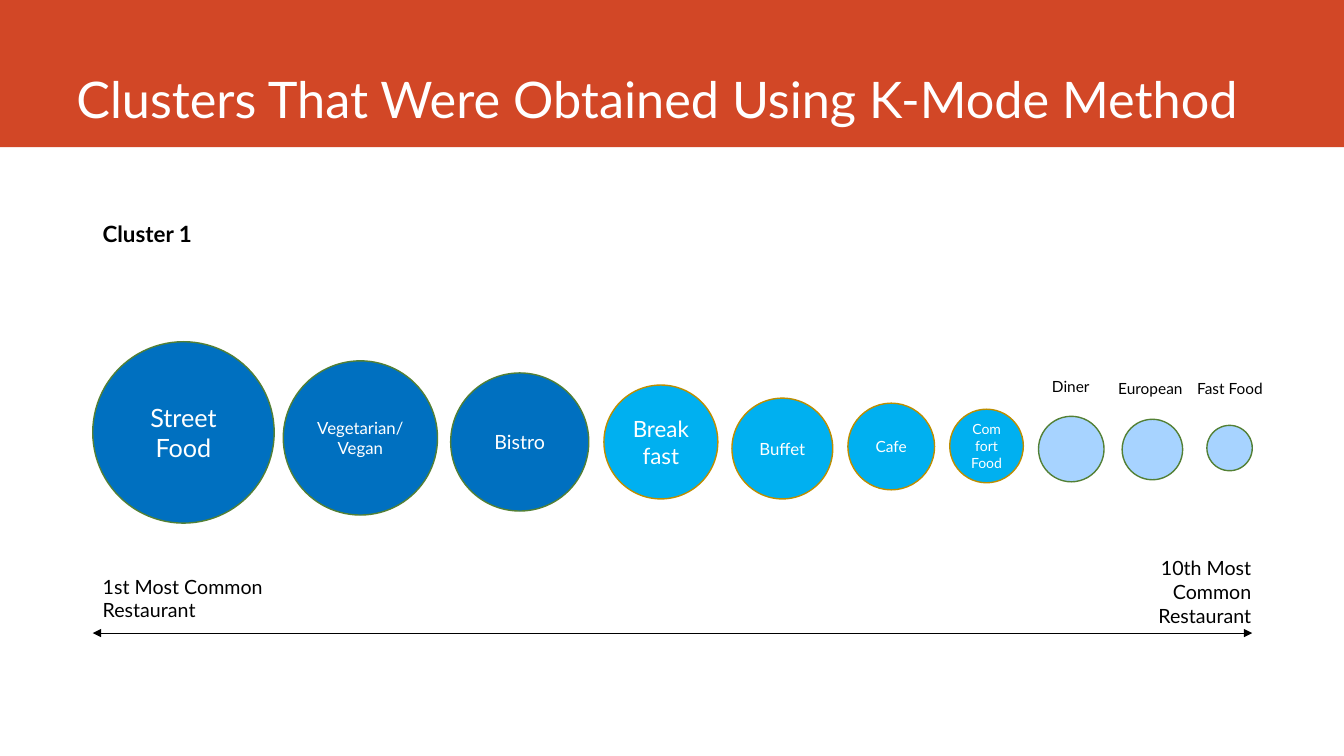
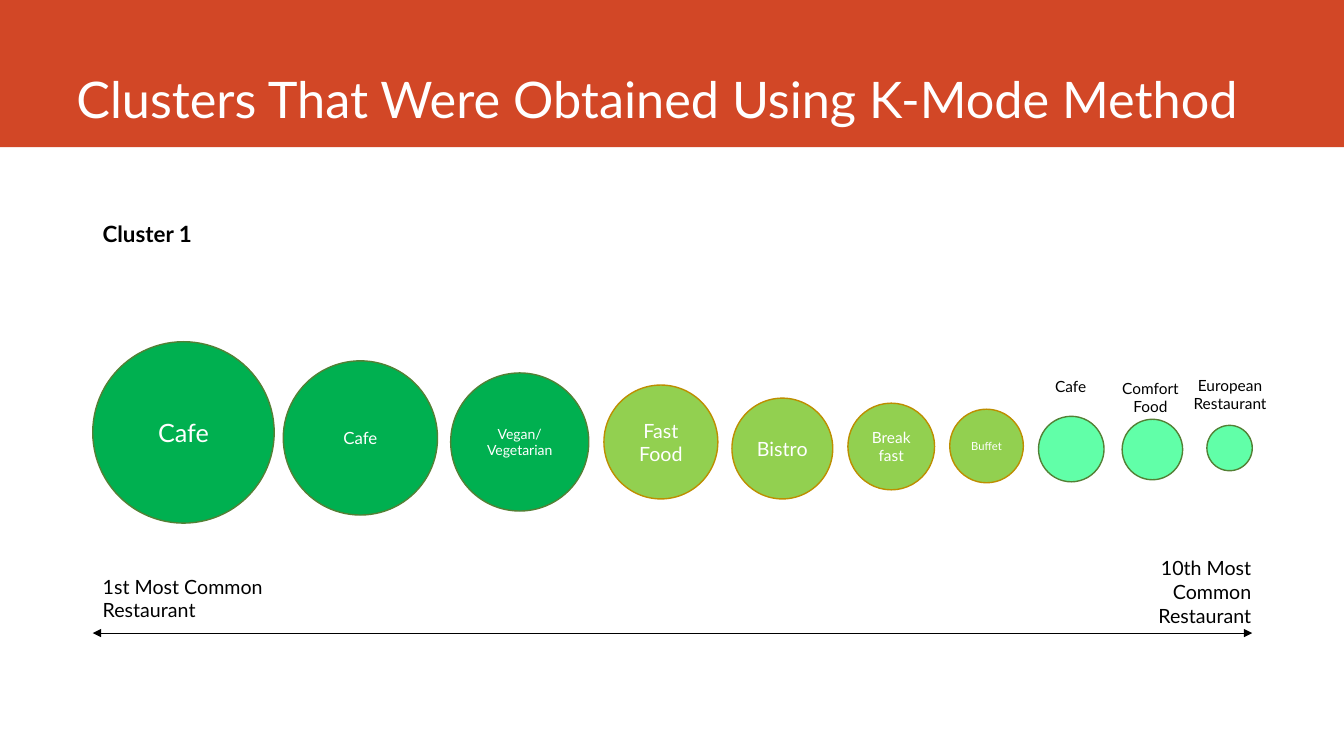
from lxml import etree
from pptx import Presentation
from pptx.dml.color import RGBColor
from pptx.enum.shapes import MSO_CONNECTOR, MSO_SHAPE
from pptx.enum.text import MSO_ANCHOR, PP_ALIGN
from pptx.oxml.ns import qn
from pptx.util import Inches, Pt

LEFT, CENTER, RIGHT = PP_ALIGN.LEFT, PP_ALIGN.CENTER, PP_ALIGN.RIGHT
TOP, MIDDLE, BOTTOM = MSO_ANCHOR.TOP, MSO_ANCHOR.MIDDLE, MSO_ANCHOR.BOTTOM
RECTANGLE, OVAL = MSO_SHAPE.RECTANGLE, MSO_SHAPE.OVAL
STRAIGHT = MSO_CONNECTOR.STRAIGHT

FONT = "Lato"
BAND = RGBColor(0xD2, 0x47, 0x26)
WHITE = RGBColor(0xFF, 0xFF, 0xFF)
BLACK = RGBColor(0x00, 0x00, 0x00)
GREEN_EDGE = RGBColor(0x53, 0x80, 0x35)
GOLD_EDGE = RGBColor(0xBD, 0x8E, 0x00)
BLUES = (RGBColor(0x00, 0x70, 0xC0), RGBColor(0x00, 0xB0, 0xF0), RGBColor(0xA7, 0xD3, 0xFF))
GREENS = (RGBColor(0x00, 0xB0, 0x50), RGBColor(0x92, 0xD0, 0x50), RGBColor(0x61, 0xFF, 0xA8))
EDGES = (GREEN_EDGE, GOLD_EDGE, GREEN_EDGE)

TITLE = "Clusters That Were Obtained Using K-Mode Method"
FIRST_RANK = "1st Most Common Restaurant"
LAST_RANK = "10th Most Common Restaurant"

CLUSTERS = [
    {
        "heading": "Cluster 1",
        "fills": BLUES,
        "inside": [("Street Food", 18), ("Vegetarian/Vegan", 12), ("Bistro", 14),
                   ("Breakfast", 16), ("Buffet", 12), ("Cafe", 11), ("Comfort Food", 10)],
        "above": [("Diner", 3.69, 0.29), ("European", 3.71, 0.29), ("Fast Food", 3.71, 0.29)],
    },
    {
        "heading": "Cluster 1",
        "fills": GREENS,
        "inside": [("Cafe", 18), ("Cafe", 12), ("Vegan/Vegetarian", 10),
                   ("Fast Food", 14), ("Bistro", 14), ("Breakfast", 11), ("Buffet", 8)],
        "above": [("Cafe", 3.69, 0.29), ("Comfort Food", 3.71, 0.47),
                  ("European Restaurant", 3.68, 0.47)],
    },
]

# left, top, diameter, shade
CIRCLES = [
    (0.92, 3.39, 1.8, 0), (2.81, 3.58, 1.53, 0), (4.47, 3.7, 1.37, 0),
    (5.99, 3.82, 1.13, 1), (7.26, 3.95, 1, 1), (8.41, 4, 0.86, 1), (9.42, 4.06, 0.73, 1),
    (10.3, 4.13, 0.65, 2), (11.13, 4.16, 0.6, 2), (11.97, 4.22, 0.45, 2),
]
LABEL_LEFT, LABEL_STEP, LABEL_WIDTH = 10.13, 0.79, 0.98
AXIS_LEFT, AXIS_RIGHT, AXIS_Y = 0.92, 12.42, 6.28


def write(shape, text, size, color=BLACK, bold=False, align=LEFT, anchor=TOP, spacing=None):
    frame = shape.text_frame
    frame.word_wrap = True
    frame.vertical_anchor = anchor
    paragraph = frame.paragraphs[0]
    paragraph.alignment = align
    if spacing:
        paragraph.line_spacing = spacing
    run = paragraph.add_run()
    run.text = text
    run.font.name = FONT
    run.font.size = Pt(size)
    run.font.bold = bold
    run.font.color.rgb = color


def add_text(slide, box, text, size, **style):
    write(slide.shapes.add_textbox(*map(Inches, box)), text, size, **style)


def add_filled(slide, kind, box, fill, edge=None):
    shape = slide.shapes.add_shape(kind, *map(Inches, box))
    shape.shadow.inherit = False
    shape.fill.solid()
    shape.fill.fore_color.rgb = fill
    if edge is None:
        shape.line.fill.background()
    else:
        shape.line.color.rgb = edge
        shape.line.width = Pt(1)
    return shape


def add_axis(slide):
    axis = slide.shapes.add_connector(
        STRAIGHT, *map(Inches, (AXIS_LEFT, AXIS_Y, AXIS_RIGHT, AXIS_Y)))
    axis.line.color.rgb = BLACK
    axis.line.width = Pt(0.5)
    line = axis.line._get_or_add_ln()
    for end in ("a:headEnd", "a:tailEnd"):
        etree.SubElement(line, qn(end), type="triangle")
    etree.SubElement(axis._element.spPr, qn("a:effectLst"))


def add_frame(slide, heading):
    add_filled(slide, RECTANGLE, (0, 0, 13.33, 1.46), BAND)
    add_text(slide, (0.66, 0, 11.76, 1.32), TITLE, 36, color=WHITE, anchor=BOTTOM)
    add_text(slide, (0.92, 2, 4.56, 4.76), heading, 16, bold=True, spacing=1.5)
    add_axis(slide)
    add_text(slide, (0.92, 5.65, 1.8, 0.57), FIRST_RANK, 14)
    add_text(slide, (10.71, 5.47, 1.8, 0.81), LAST_RANK, 14, align=RIGHT)


def add_cluster(slide, cluster):
    circles = []
    for left, top, diameter, shade in CIRCLES:
        box = (left, top, diameter, diameter)
        circles.append(add_filled(slide, OVAL, box, cluster["fills"][shade], EDGES[shade]))
    for circle, (name, size) in zip(circles, cluster["inside"]):
        write(circle, name, size, color=WHITE, align=CENTER, anchor=MIDDLE)
    for index, (name, top, height) in enumerate(cluster["above"]):
        left = LABEL_LEFT + index * LABEL_STEP
        add_text(slide, (left, top, LABEL_WIDTH, height), name, 11, align=CENTER)


presentation = Presentation()
presentation.slide_width = Inches(13.33)
presentation.slide_height = Inches(7.5)
blank = presentation.slide_layouts[6]
for cluster in CLUSTERS:
    slide = presentation.slides.add_slide(blank)
    add_frame(slide, cluster["heading"])
    add_cluster(slide, cluster)
presentation.save("out.pptx")
